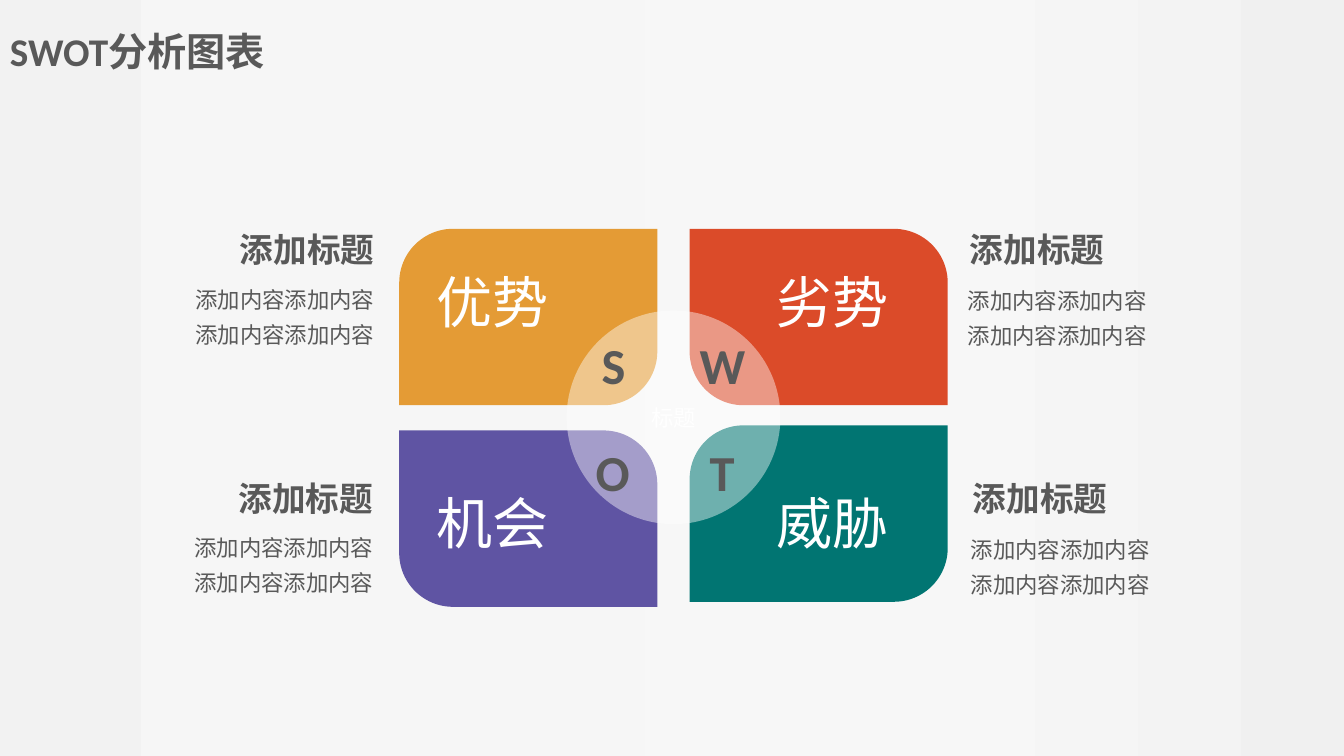
from lxml.etree import SubElement
from pptx import Presentation
from pptx.dml.color import RGBColor
from pptx.enum.shapes import MSO_SHAPE as Preset
from pptx.enum.text import MSO_ANCHOR as Anchor, MSO_AUTO_SIZE as AutoSize, PP_ALIGN as Align
from pptx.oxml.ns import qn
from pptx.util import Inches, Pt

COLORS = {
    "strength": "E49B35",
    "weakness": "DB4B29",
    "opportunity": "5F54A3",
    "threat": "017572",
    "gray": "595959",
    "white": "FFFFFF",
}
BACKDROP = [(0, "F2F2F2"), (21, "F6F6F6"), (48, "F7F7F7"), (77, "F5F5F5"), (100, "F0F0F0")]
LATIN, CHINESE = "Calibri", "Noto Sans CJK SC"
FORMATS = {
    "title": {"name": LATIN, "size": Pt(28), "bold": True},
    "letter": {"name": LATIN, "size": Pt(36), "bold": True},
    "label": {"name": LATIN, "size": Pt(40)},
    "heading": {"name": CHINESE, "size": Pt(24), "bold": True},
    "body": {"name": CHINESE, "size": Pt(16)},
}


def write(frame, lines, style, color="gray", align=Align.LEFT, spacing=None):
    for index, line in enumerate(lines):
        para = frame.paragraphs[0] if index == 0 else frame.add_paragraph()
        para.alignment = align
        para.line_spacing = spacing
        span = para.add_run()
        span.text = line
        for name, value in FORMATS[style].items():
            setattr(span.font, name, value)
        span.font.color.rgb = RGBColor.from_string(COLORS[color])


def add_text(place, lines, style, wrap=False, anchor=Anchor.TOP, **options):
    box = page.shapes.add_textbox(*[Inches(value) for value in place])
    frame = box.text_frame
    frame.word_wrap = wrap
    frame.auto_size = AutoSize.SHAPE_TO_FIT_TEXT
    frame.vertical_anchor = anchor
    write(frame, lines, style, **options)


deck = Presentation()
deck.slide_width, deck.slide_height = Inches(13.33), Inches(7.5)
page = deck.slides.add_slide(deck.slide_layouts[6])

backdrop = page.background.fill
backdrop.gradient()
backdrop.gradient_angle = 0
stops = page.element.find(".//" + qn("a:gsLst"))
for stop in list(stops):
    stops.remove(stop)
for percent, color in BACKDROP:
    stop = SubElement(stops, qn("a:gs"), pos=str(percent * 1000))
    SubElement(stop, qn("a:srgbClr"), val=color)

PANELS = [
    ("strength", 3.96, 2.27, True),
    ("opportunity", 3.96, 4.27, False),
    ("weakness", 6.84, 2.27, False),
    ("threat", 6.84, 4.22, True),
]
for color, left, top, falling in PANELS:
    panel = page.shapes.add_shape(
        Preset.ROUND_2_DIAG_RECTANGLE, Inches(left), Inches(top), Inches(2.56), Inches(1.75))
    panel.adjustments[0] = 0.305 if falling else 0
    panel.adjustments[1] = 0 if falling else 0.305
    panel.shadow.inherit = False
    panel.fill.solid()
    panel.fill.fore_color.rgb = RGBColor.from_string(COLORS[color])
    panel.line.fill.background()

CAPTIONS = [
    ((9.52, 2.1, 1.85, 0.57), (9.5, 2.72), Align.LEFT),
    ((9.55, 4.57, 1.81, 0.63), (9.53, 5.19), Align.LEFT),
    ((2.06, 2.1, 1.75, 0.57), (0.09, 2.71), Align.RIGHT),
    ((2.06, 4.57, 1.74, 0.63), (0.08, 5.17), Align.RIGHT),
]
for heading_place, body_corner, align in CAPTIONS:
    add_text(heading_place, ["添加标题"], "heading", wrap=True, align=align, spacing=1.3)
    add_text((*body_corner, 3.72, 0.77), ["添加内容添加内容"] * 2, "body",
             wrap=True, align=align, spacing=1.3)

hub = page.shapes.add_shape(
    Preset.OVAL, Inches(5.62), Inches(3.08), Inches(2.12), Inches(2.12))
hub.shadow.inherit = False
hub.fill.solid()
hub.fill.fore_color.rgb = RGBColor.from_string(COLORS["white"])
hub_color = hub.element.spPr.find(qn("a:solidFill")).find(qn("a:srgbClr"))
SubElement(hub_color, qn("a:alpha"), val="43000")
hub.line.fill.background()
hub.text_frame.vertical_anchor = Anchor.MIDDLE
write(hub.text_frame, ["标题"], "body", color="white", align=Align.CENTER)

LETTERS = [("S", 5.87, 3.26, 0.44), ("W", 6.84, 3.26, 0.66),
           ("O", 5.81, 4.32, 0.54), ("T", 6.94, 4.32, 0.45)]
for letter, left, top, width in LETTERS:
    add_text((left, top, width, 0.71), [letter], "letter", anchor=Anchor.MIDDLE)

LABELS = [("优势", 4.23, 2.61), ("劣势", 7.6, 2.61), ("机会", 4.23, 4.8), ("威胁", 7.6, 4.8)]
for label, left, top in LABELS:
    add_text((left, top, 1.32, 0.77), [label], "label", color="white")

add_text((0, 0.22, 2.76, 0.57), ["SWOT分析图表"], "title", wrap=True)

deck.save("out.pptx")
